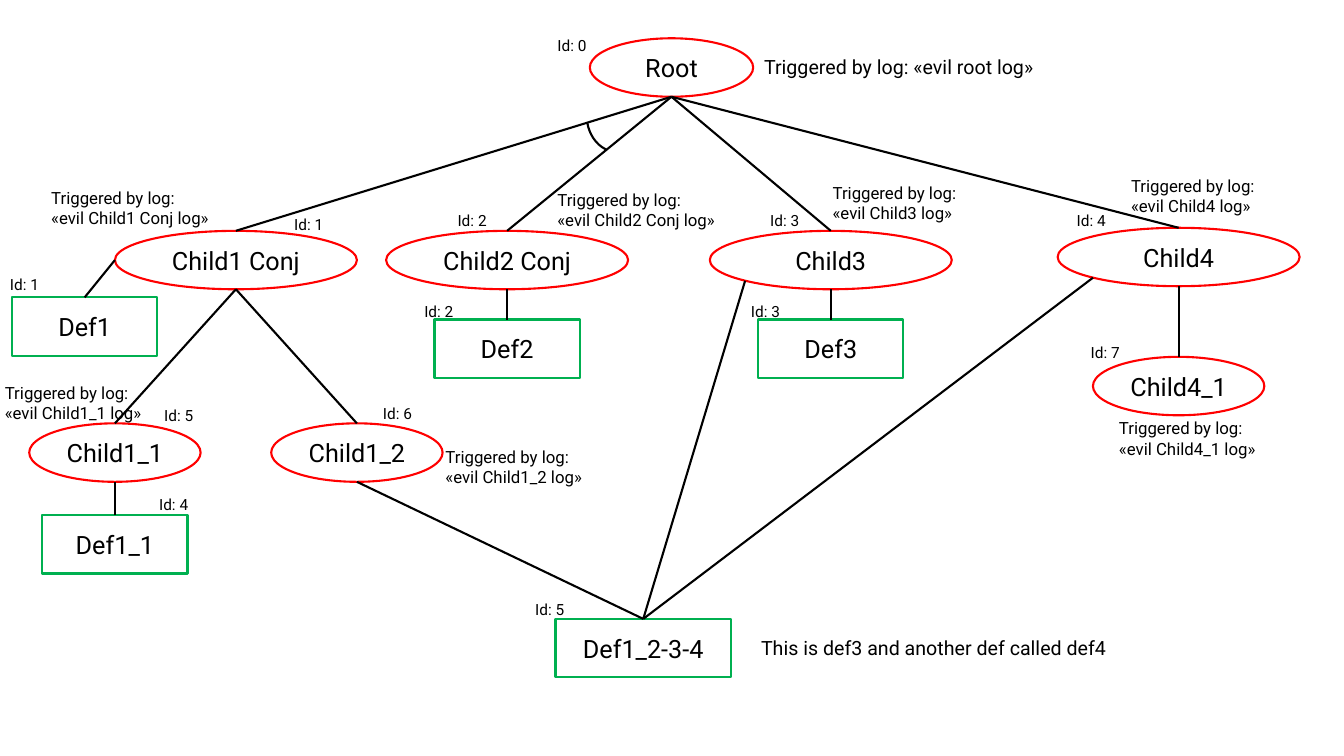
from pptx import Presentation
from pptx.dml.color import RGBColor
from pptx.enum.shapes import MSO_CONNECTOR, MSO_SHAPE
from pptx.enum.text import MSO_ANCHOR, MSO_AUTO_SIZE, PP_ALIGN
from pptx.oxml.ns import qn
from pptx.util import Emu, Pt
from lxml import etree

OVAL, RECT, ARC = MSO_SHAPE.OVAL, MSO_SHAPE.RECTANGLE, MSO_SHAPE.ARC
STRAIGHT = MSO_CONNECTOR.STRAIGHT
CENTER, LEFT = PP_ALIGN.CENTER, PP_ALIGN.LEFT
MIDDLE, GROW = MSO_ANCHOR.MIDDLE, MSO_AUTO_SIZE.SHAPE_TO_FIT_TEXT

EMU_PER_PX = 9144  # 100 px to the inch
FONT = "Roboto"
RED, GREEN, BLACK = "FF0000", "00B050", "000000"
NODE_HEIGHT = 58

# Nodes: name, left, top, width, id, id left, id top
EVENTS = [
    ("Root", 585, 38, 162, 0, 543, 31),
    ("Child1 Conj", 114, 229, 240, 1, 282, 208),
    ("Child2 Conj", 383, 229, 240, 2, 444, 205),
    ("Child3", 704, 229, 240, 3, 754, 205),
    ("Child4", 1049, 226, 240, 4, 1058, 205),
    ("Child1_1", 29, 420, 170, 5, 153, 398),
    ("Child1_2", 269, 420, 170, 6, 370, 396),
    ("Child4_1", 1084, 354, 170, 7, 1072, 335),
]
DEFENSES = [
    ("Def1", 12, 295, 144, 1, 0, 268),
    ("Def2", 431, 317, 144, 2, 411, 295),
    ("Def3", 752, 317, 144, 3, 735, 295),
    ("Def1_1", 42, 511, 144, 4, 148, 486),
    ("Def1_2-3-4", 551, 614, 174, 5, 521, 590),
]

# Points on a node's outline, as fractions of its width and height
ANCHORS = {"top": (0.5, 0), "bottom": (0.5, 1), "left": (0, 0.5), "lower left": (0.146, 0.854)}

# Edges run from an anchor of the parent to the top of the child
EDGES = [
    ("Root", "bottom", "Child1 Conj"),
    ("Root", "bottom", "Child2 Conj"),
    ("Root", "bottom", "Child3"),
    ("Root", "bottom", "Child4"),
    ("Child1 Conj", "left", "Def1"),
    ("Child1 Conj", "bottom", "Child1_1"),
    ("Child1 Conj", "bottom", "Child1_2"),
    ("Child2 Conj", "bottom", "Def2"),
    ("Child3", "bottom", "Def3"),
    ("Child4", "bottom", "Child4_1"),
    ("Child1_1", "bottom", "Def1_1"),
    ("Child1_2", "bottom", "Def1_2-3-4"),
    ("Child3", "lower left", "Def1_2-3-4"),
    ("Child4", "lower left", "Def1_2-3-4"),
]

# Trigger notes: child name, left, top
TRIGGERS = [
    ("Child1 Conj", 41, 181),
    ("Child2 Conj", 543, 183),
    ("Child3", 816, 176),
    ("Child4", 1112, 169),
    ("Child4_1", 1100, 410),
    ("Child1_2", 432, 438),
    ("Child1_1", -5, 375),
]


def px(length):
    return Emu(round(length * EMU_PER_PX))


def color(hex_code):
    return RGBColor.from_string(hex_code)


def style_line(line, hex_code):
    line.color.rgb = color(hex_code)
    line.width = Pt(1.5)


def write(frame, text, size, align):
    frame.word_wrap = True
    frame.text = text
    for para in frame.paragraphs:
        para.alignment = align
        for span in para.runs:
            span.font.name = FONT
            span.font.size = Pt(size)
            span.font.color.rgb = color(BLACK)


def add_label(page, text, left, top, width, height, size):
    box = page.shapes.add_textbox(px(left), px(top), px(width), px(height))
    write(box.text_frame, text, size, LEFT)
    box.text_frame.auto_size = GROW


def add_outline(page, kind, left, top, width, height, hex_code):
    shape = page.shapes.add_shape(kind, px(left), px(top), px(width), px(height))
    shape.shadow.inherit = False
    shape.fill.background()
    style_line(shape.line, hex_code)
    return shape


def add_node(page, kind, hex_code, name, left, top, width, number, id_left, id_top):
    node = add_outline(page, kind, left, top, width, NODE_HEIGHT, hex_code)
    write(node.text_frame, name, 18, CENTER)
    node.text_frame.vertical_anchor = MIDDLE
    add_label(page, f"Id: {number}", id_left, id_top, 54, 29, 11)
    return node


def anchor_point(node, anchor):
    across, down = ANCHORS[anchor]
    return Emu(round(node.left + across * node.width)), Emu(round(node.top + down * node.height))


def add_edge(page, parent, anchor, child):
    start, end = anchor_point(parent, anchor), anchor_point(child, "top")
    edge = page.shapes.add_connector(STRAIGHT, *start, *end)
    style_line(edge.line, BLACK)
    etree.SubElement(edge._element.spPr, qn("a:effectLst"))


def add_conjunction_arc(page):
    arc = add_outline(page, ARC, 582, 82, 58, 69, BLACK)
    arc.adjustments[0] = 176.37
    arc.adjustments[1] = 214.1
    arc.rotation = 172.8


def main():
    deck = Presentation()
    deck.slide_width, deck.slide_height = px(1333), px(750)
    page = deck.slides.add_slide(deck.slide_layouts[6])

    # Nodes with their ids
    nodes = {}
    for kind, hex_code, rows in ((OVAL, RED, EVENTS), (RECT, GREEN, DEFENSES)):
        for row in rows:
            nodes[row[0]] = add_node(page, kind, hex_code, *row)

    # Edges, and the arc that joins the two conjunctive children
    for parent, anchor, child in EDGES:
        add_edge(page, nodes[parent], anchor, nodes[child])
    add_conjunction_arc(page)

    # Notes
    for name, left, top in TRIGGERS:
        add_label(page, f"Triggered by log:\n«evil {name} log»", left, top, 203, 50, 12)
    add_label(page, "Triggered by log: «evil root log»", 748, 50, 387, 34, 14)
    add_label(page, "This is def3 and another def called def4", 745, 626, 364, 34, 14)

    deck.save("out.pptx")


if __name__ == "__main__":
    main()
